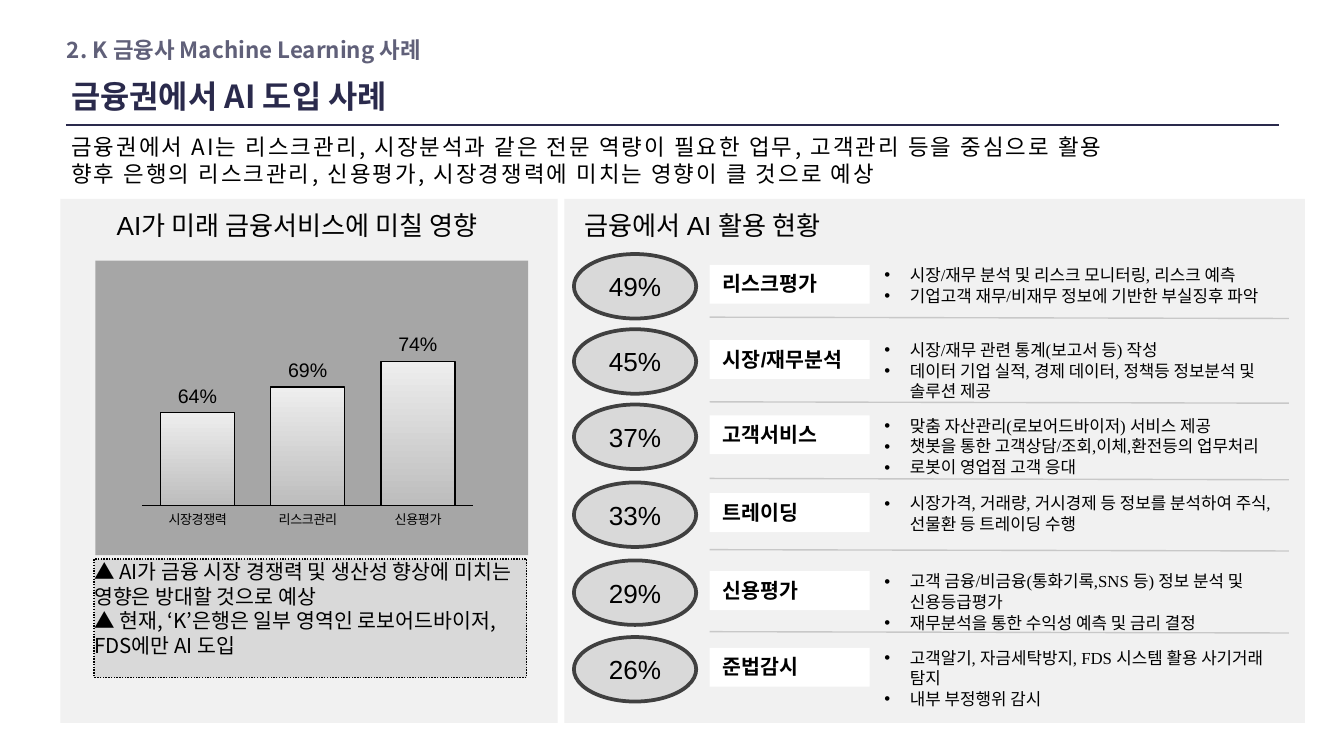
from lxml.etree import SubElement
from pptx import Presentation
from pptx.chart.data import CategoryChartData
from pptx.dml.color import RGBColor
from pptx.enum.chart import XL_CHART_TYPE, XL_LABEL_POSITION, XL_TICK_MARK
from pptx.enum.dml import MSO_LINE
from pptx.enum.shapes import MSO_CONNECTOR, MSO_SHAPE
from pptx.enum.text import MSO_ANCHOR, PP_ALIGN
from pptx.oxml.ns import qn
from pptx.util import Inches, Pt

BLACK = RGBColor(0x00, 0x00, 0x00)
WHITE = RGBColor(0xFF, 0xFF, 0xFF)
NAVY = RGBColor(0x2A, 0x2A, 0x4C)
SLATE = RGBColor(0x60, 0x60, 0x79)
PANEL = RGBColor(0xF1, 0xF1, 0xF1)
PLOT = RGBColor(0xA6, 0xA6, 0xA6)
LIGHT = RGBColor(0xD9, 0xD9, 0xD9)
RING = RGBColor(0x40, 0x40, 0x40)
RULE = RGBColor(0xC8, 0xC8, 0xC8)
BAR_BOTTOM = RGBColor(0xBD, 0xBD, 0xBD)
BAR_TOP = RGBColor(0xEE, 0xEE, 0xEE)
KOREAN = "Noto Sans CJK KR"

IMPACT = {"시장경쟁력": 0.64, "리스크관리": 0.69, "신용평가": 0.74}
NOTES = [
    "▲ AI가 금융 시장 경쟁력 및 생산성 향상에 미치는 영향은 방대할 것으로 예상",
    "▲ 현재, ‘K’은행은 일부 영역인 로보어드바이저, FDS에만 AI 도입",
]
USES = [
    (0.41, "49%", "리스크평가", 0.47,
     ["시장/재무 분석 및 리스크 모니터링, 리스크 예측",
      "기업고객 재무/비재무 정보에 기반한 부실징후 파악"]),
    (0.97, "45%", "시장/재무분석", 0.54,
     ["시장/재무 관련 통계(보고서 등) 작성",
      "데이터 기업 실적, 경제 데이터, 정책등 정보분석 및 솔루션 제공"]),
    (1.53, "37%", "고객서비스", 0.55,
     ["맞춤 자산관리(로보어드바이저) 서비스 제공",
      "챗봇을 통한 고객상담/조회,이체,환전등의 업무처리",
      "로봇이 영업점 고객 응대"]),
    (2.11, "33%", "트레이딩", 0.5,
     ["시장가격, 거래량, 거시경제 등 정보를 분석하여 주식, 선물환 등 트레이딩 수행"]),
    (2.69, "29%", "신용평가", 0.53,
     ["고객 금융/비금융(통화기록,SNS 등) 정보 분석 및 신용등급평가",
      "재무분석을 통한 수익성 예측 및 금리 결정"]),
    (3.26, "26%", "준법감시", None,
     ["고객알기, 자금세탁방지, FDS 시스템 활용 사기거래 탐지",
      "내부 부정행위 감시"]),
]


def write(tf, lines, size, name="Arial", color=BLACK, bold=False, spacing=0,
          align=PP_ALIGN.LEFT, anchor=MSO_ANCHOR.TOP, insets=None, bullet=False):
    """Fill a text frame with one formatted paragraph per line."""
    tf.word_wrap = True
    tf.vertical_anchor = anchor
    for side, value in zip(("left", "top", "right", "bottom"), insets or ()):
        setattr(tf, f"margin_{side}", Inches(value))
    for i, line in enumerate(lines):
        p = tf.add_paragraph() if i else tf.paragraphs[0]
        p.alignment = align
        p.space_before = Pt(0.4 if bullet else 0)
        pPr = p._p.get_or_add_pPr()
        indent = Inches(0.19 if bullet else 0)
        pPr.set("marL", str(indent))
        pPr.set("indent", str(-indent))
        if bullet:
            SubElement(pPr, qn("a:buFont"), typeface="Arial")
            SubElement(pPr, qn("a:buChar"), char="•")
        else:
            SubElement(pPr, qn("a:buNone"))
        r = p.add_run()
        r.text = line
        for key, value in {"size": Pt(size), "name": name, "bold": bold}.items():
            setattr(r.font, key, value)
        r.font.color.rgb = color
        rPr = r._r.get_or_add_rPr()
        SubElement(rPr, qn("a:ea"), typeface=KOREAN)
        rPr.set("kern", "0")
        if spacing:
            rPr.set("spc", str(spacing))


def add_text(s, x, y, w, h, lines, size, **fmt):
    """Add a text box."""
    sp = s.shapes.add_textbox(Inches(x), Inches(y), Inches(w), Inches(h))
    write(sp.text_frame, lines, size, **fmt)


def add_box(s, x, y, w, h, fill, line=None, width=0.75, kind=MSO_SHAPE.RECTANGLE):
    """Add a flat filled shape, outlined when a line colour is given."""
    sp = s.shapes.add_shape(kind, Inches(x), Inches(y), Inches(w), Inches(h))
    sp.shadow.inherit = False
    sp.fill.solid()
    sp.fill.fore_color.rgb = fill
    if line is None:
        sp.line.fill.background()
    else:
        sp.line.color.rgb = line
        sp.line.width = Pt(width)
    return sp


def add_rule(s, x1, y1, x2, y2, color):
    """Add a thin straight line."""
    line = s.shapes.add_connector(
        MSO_CONNECTOR.STRAIGHT, Inches(x1), Inches(y1), Inches(x2), Inches(y2))
    line.line.color.rgb = color
    line.line.width = Pt(0.75)
    SubElement(line._element.spPr, qn("a:effectLst"))


def place(sp, x, y, w, h):
    """Move and size a placeholder."""
    box = {"left": x, "top": y, "width": w, "height": h}
    for key, value in box.items():
        setattr(sp, key, Inches(value))


def format_font(font, size):
    """Set the font of chart text."""
    for key, value in {"size": Pt(size), "name": "Arial", "bold": False}.items():
        setattr(font, key, value)
    font.color.rgb = BLACK


def build_header(s, x, y, w):
    """Place the section name, title, rule and introduction."""
    add_text(s, x, y, 3.72, 0.28, ["2. K 금융사 Machine Learning 사례"], 12,
             name=KOREAN, color=SLATE, bold=True, insets=[0.1] * 4)
    title, body = s.placeholders
    place(title, x + 0.03, y + 0.3, w, 0.55)
    write(title.text_frame, ["금융권에서 AI 도입 사례"], 17, name=KOREAN,
          color=NAVY, bold=True, insets=[0.1] * 4)
    add_rule(s, x + 0.09, y + 0.76, x + 0.09 + w, y + 0.76, NAVY)
    place(body, x + 0.12, y + 0.82, w, 0.4)
    write(body.text_frame, [
        "금융권에서 AI는 리스크관리, 시장분석과 같은 전문 역량이 필요한 업무, 고객관리 등을 중심으로 활용",
        "향후 은행의 리스크관리, 신용평가, 시장경쟁력에 미치는 영향이 클 것으로 예상",
    ], 12, name=KOREAN, spacing=110, insets=[0.01, 0, 0, 0])


def build_chart(s, x, y, w, h):
    """Place the column chart of the expected impact."""
    data = CategoryChartData(number_format="0%")
    data.categories = list(IMPACT)
    data.add_series("영향", list(IMPACT.values()))
    chart = s.shapes.add_chart(XL_CHART_TYPE.COLUMN_CLUSTERED, Inches(x), Inches(y),
                               Inches(w), Inches(h), data).chart
    chart.has_legend = chart.has_title = False
    format_font(chart.font, 7)

    plot = chart.plots[0]
    plot.vary_by_categories = False
    plot.gap_width = 49
    plot.has_data_labels = True
    labels = plot.data_labels
    for key, value in {"show_value": True, "number_format": "0%",
                       "number_format_is_linked": False,
                       "position": XL_LABEL_POSITION.OUTSIDE_END}.items():
        setattr(labels, key, value)
    format_font(labels.font, 10.5)

    axis = chart.value_axis
    for key, value in {"minimum_scale": 0.46, "maximum_scale": 0.8,
                       "has_major_gridlines": False, "visible": False}.items():
        setattr(axis, key, value)
    axis = chart.category_axis
    axis.major_tick_mark = XL_TICK_MARK.NONE
    axis.format.line.color.rgb = BLACK
    axis.format.line.width = Pt(0.75)

    bars = plot.series[0].format
    bars.fill.gradient()
    bars.fill.gradient_angle = 90
    for stop, color in zip(bars.fill.gradient_stops, (BAR_BOTTOM, BAR_TOP)):
        stop.color.rgb = color
    bars.line.color.rgb = BLACK
    bars.line.width = Pt(0.75)

    area = chart._chartSpace.chart.plotArea
    layout = area.find(qn("c:layout"))
    if layout is None:
        layout = SubElement(area, qn("c:layout"))
        area.insert(0, layout)
    manual = SubElement(layout, qn("c:manualLayout"))
    for key, value in {"layoutTarget": "inner", "xMode": "edge", "yMode": "edge",
                       "x": 0.35 / w, "y": 0.52 / h,
                       "w": 2.46 / w, "h": 1.3 / h}.items():
        SubElement(manual, qn(f"c:{key}"), val=str(value))


def build_impact(s, x, y, w, h):
    """Place the panel with the impact chart and notes."""
    add_box(s, x, y, w, h, PANEL)
    add_box(s, x + 0.26, y + 0.46, 3.22, 2.19, PLOT)
    add_text(s, x + 0.32, y + 0.03, 3.28, 0.34, ["AI가 미래 금융서비스에 미칠 영향"], 14)
    build_chart(s, x + 0.26, y + 0.46, 3.22, 2.19)
    sp = add_box(s, x + 0.25, y + 2.68, 3.22, 0.88, LIGHT, BLACK)
    sp.line.dash_style = MSO_LINE.ROUND_DOT
    write(sp.text_frame, NOTES, 11, name=KOREAN, insets=[0] * 4)


def build_use(s, x, y, share, name, rule, items):
    """Place one row: share, field name, bullets and the rule below."""
    sp = add_box(s, x, y, 0.91, 0.48, LIGHT, RING, 2, MSO_SHAPE.OVAL)
    write(sp.text_frame, [share], 14, align=PP_ALIGN.CENTER, anchor=MSO_ANCHOR.MIDDLE)
    sp = add_box(s, x + 1.01, y + 0.08, 1.19, 0.29, WHITE)
    write(sp.text_frame, [name], 11, bold=True)
    add_text(s, x + 2.31, y + 0.07, 3.02, 0.46, items, 9, name="Times New Roman",
             insets=[0, 0.01, 0, 0], bullet=True)
    if rule:
        add_rule(s, x + 1.01, y + rule, x + 5.32, y + rule + 0.01, RULE)


def build_uses(s, x, y, w, h):
    """Place the panel with the current uses of AI."""
    add_box(s, x, y, w, h, PANEL)
    add_text(s, x + 0.05, y + 0.03, 3.28, 0.34, ["금융에서 AI 활용 현황"], 14)
    for top, *use in USES:
        build_use(s, x + 0.07, y + top, *use)


def main():
    """Build and save the slide."""
    prs = Presentation()
    prs.slide_width = Inches(10)
    prs.slide_height = prs.slide_width * 9 // 16
    s = prs.slides.add_slide(prs.slide_layouts[1])
    build_header(s, 0.4, 0.17, 9.03)
    build_impact(s, 0.45, 1.48, 3.7, 3.9)
    build_uses(s, 4.2, 1.48, 5.51, 3.9)
    prs.save("out.pptx")


if __name__ == "__main__":
    main()
